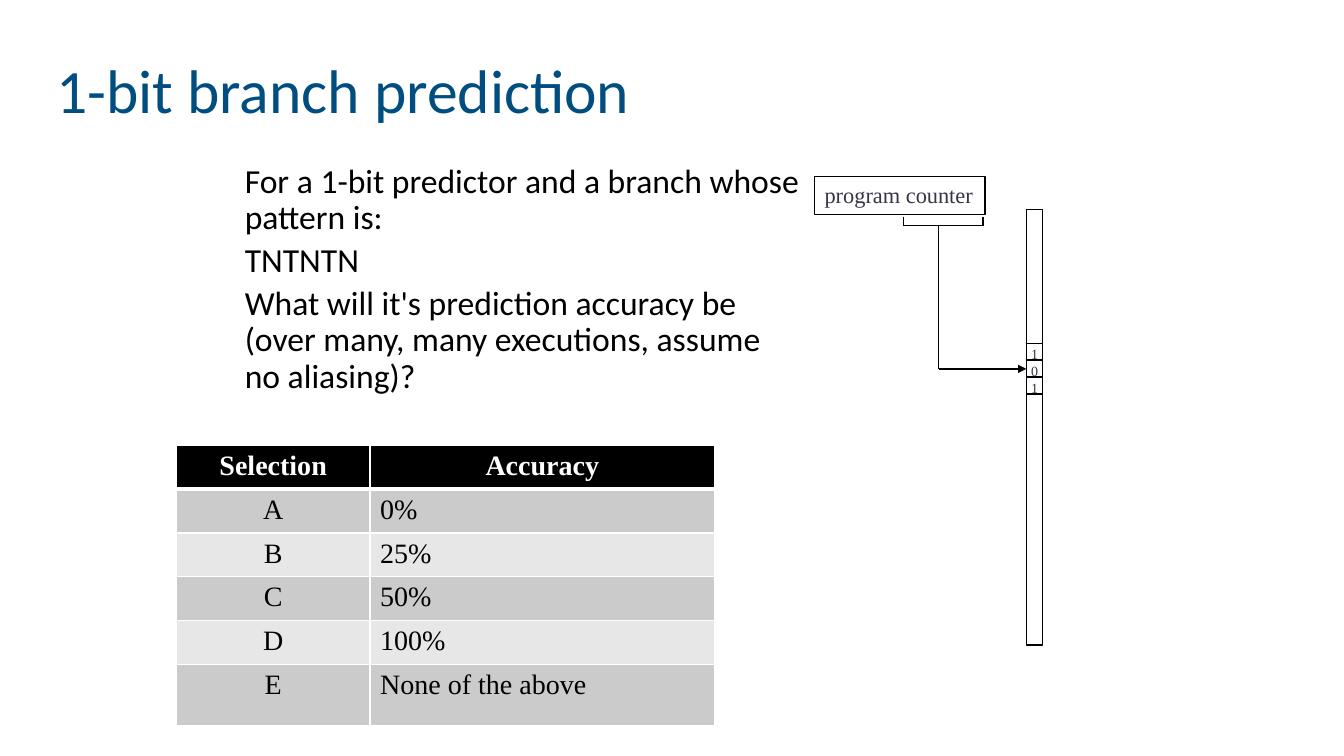
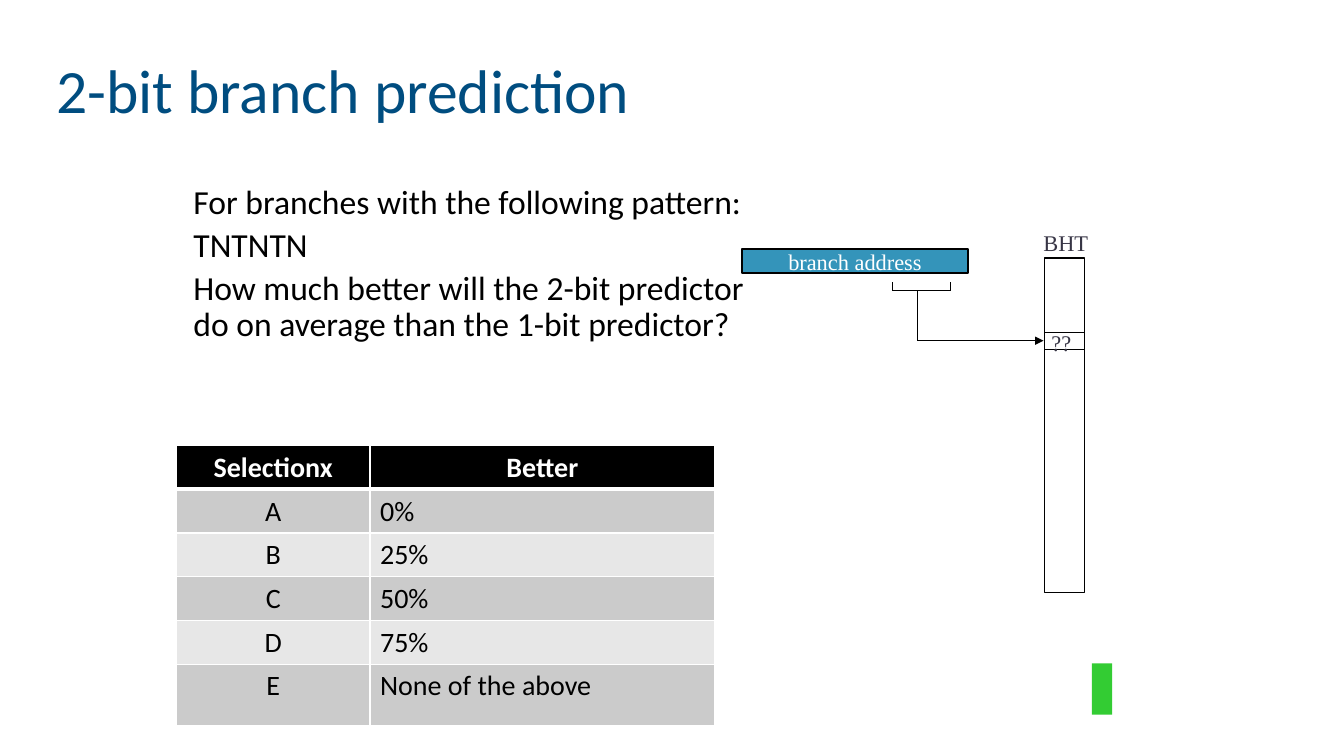
import itertools

import lxml.etree
import pptx
import pptx.dml.color
import pptx.enum.shapes
import pptx.enum.text
import pptx.oxml.ns
import pptx.util

SCALE = 9144
SANS, SERIF = "Calibri", "Times New Roman"
TITLE, INK, BLACK, WHITE = "004D80", "373545", "000000", "FFFFFF"
TEAL, GREEN, BANDS = "3494BA", "33CC33", ("CBCBCB", "E7E7E7")
LEFT, CENTER = pptx.enum.text.PP_ALIGN.LEFT, pptx.enum.text.PP_ALIGN.CENTER
TOP, MIDDLE = pptx.enum.text.MSO_ANCHOR.TOP, pptx.enum.text.MSO_ANCHOR.MIDDLE


def px(*lengths):
    """Turn px lengths into EMU."""
    return [pptx.util.Emu(n * SCALE) for n in lengths]


def rgb(color):
    """Return the colour for a hex string."""
    return pptx.dml.color.RGBColor.from_string(color)


def sub(parent, tag, **attrs):
    """Append a DrawingML element and return it."""
    return lxml.etree.SubElement(parent, pptx.oxml.ns.qn(tag), attrs)


def style(p, size, font, color, bold=False, align=LEFT):
    """Format a paragraph and its runs."""
    p.alignment = align
    for r in p.runs:
        r.font.size, r.font.name, r.font.bold = pptx.util.Pt(size), font, bold
        r.font.color.rgb = rgb(color)


def write(sp, text, size, font, color, wrap=True, align=LEFT, anchor=TOP):
    """Fill a shape with text, one paragraph per line."""
    tf = sp.text_frame
    tf.text, tf.word_wrap, tf.vertical_anchor = text, wrap, anchor
    for p in tf.paragraphs:
        style(p, size, font, color, align=align)
    return tf


def add_block(s, box, text, size, color, anchor=TOP):
    """Add wrapped text with tight lines and a gap before each paragraph."""
    sp = s.shapes.add_textbox(*px(*box))
    for p in write(sp, text, size, SANS, color, anchor=anchor).paragraphs:
        p.line_spacing = 0.9
        p.space_before = pptx.util.Pt(size * 0.2)


def add_label(s, box, text, size):
    """Add a small unwrapped label."""
    sp = s.shapes.add_textbox(*px(*box))
    tf = write(sp, text, size, SERIF, INK, wrap=False)
    tf.auto_size = pptx.enum.text.MSO_AUTO_SIZE.SHAPE_TO_FIT_TEXT


def add_rect(s, box, fill=None, outlined=True):
    """Add a plain rectangle."""
    sp = s.shapes.add_shape(pptx.enum.shapes.MSO_SHAPE.RECTANGLE, *px(*box))
    sp.shadow.inherit = False
    if fill:
        sp.fill.solid()
        sp.fill.fore_color.rgb = rgb(fill)
    else:
        sp.fill.background()
    if outlined:
        sp.line.color.rgb, sp.line.width = rgb(BLACK), pptx.util.Pt(1)
    else:
        sp.line.fill.background()
    return sp


def add_lines(s, points, arrow=False):
    """Join points with straight lines, with an optional final arrowhead."""
    for start, end in itertools.pairwise(points):
        line = s.shapes.add_connector(
            pptx.enum.shapes.MSO_CONNECTOR.STRAIGHT, *px(*start, *end))
        line.line.color.rgb, line.line.width = rgb(BLACK), pptx.util.Pt(1)
        if arrow and end == points[-1]:
            sub(line.line._get_or_add_ln(), "a:tailEnd", type="triangle")
        sub(line._element.spPr, "a:effectLst")


def add_lookup(s, left, right, top, bottom, stem, target):
    """Bracket the low address bits and lead an arrow to a table entry."""
    add_lines(s, [(left, top), (left, bottom), (right, bottom), (right, top)])
    add_lines(s, [(stem, bottom), (stem, target[1]), target], arrow=True)


def add_history(s, box, dividers):
    """Add the tall history table with its entry dividers."""
    add_rect(s, box)
    for y in dividers:
        add_lines(s, [(box[0], y), (box[0] + box[2], y)])


def format_cell(cell, fill, top, bottom):
    """Set the fill and the white borders of a cell."""
    cell.fill.solid()
    cell.fill.fore_color.rgb = rgb(fill)
    tcPr = cell._tc.get_or_add_tcPr()
    for i, (side, width) in enumerate(zip("LRTB", (1, 1, top, bottom))):
        ln = sub(tcPr, f"a:ln{side}", w=str(pptx.util.Pt(width)))
        sub(sub(ln, "a:solidFill"), "a:srgbClr", val=WHITE)
        tcPr.insert(i, ln)


def add_answers(s, heads, answers, font):
    """Add the lettered table of answers."""
    rows = [heads, *zip("ABCDE", answers)]
    frame = s.shapes.add_table(len(rows), 2, *px(175, 442, 534, 246))
    table = frame.table
    table.columns[0].width, table.columns[1].width = px(192, 342)
    for i, row in enumerate(rows):
        table.rows[i].height = px(61 if i == len(rows) - 1 else 37)[0]
        for j, text in enumerate(row):
            cell, head = table.cell(i, j), i == 0
            cell.text = text
            style(cell.text_frame.paragraphs[0], 20, font,
                  WHITE if head else BLACK, head,
                  CENTER if head or j == 0 else LEFT)
            format_cell(cell, BLACK if head else BANDS[(i - 1) % 2],
                        3 if i == 1 else 1, 3 if head else 1)


def add_slide(prs, title):
    """Add a blank slide with the shared title."""
    s = prs.slides.add_slide(prs.slide_layouts[6])
    add_block(s, (46, 20, 1263, 145), title, 44, TITLE, MIDDLE)
    return s


def one_bit(prs):
    """Build the 1-bit predictor question."""
    s = add_slide(prs, "1-bit branch prediction")
    add_history(s, (1018, 208, 16, 432), (341, 357, 374, 391))
    for i, bit in enumerate("101"):
        add_label(s, (1013, 338 + 17 * i, 27, 27), bit, 10)
    sp = add_rect(s, (808, 175, 169, 38))
    write(sp, "program counter", 16, SERIF, INK, wrap=False)
    add_lookup(s, 896, 975, 215, 224, 931, (1018, 366))
    add_answers(s, ("Selection", "Accuracy"),
                ("0%", "25%", "50%", "100%", "None of the above"), SERIF)
    add_block(s, (233, 158, 570, 217),
              "For a 1-bit predictor and a branch whose pattern is:\n"
              "TNTNTN\n"
              "What will it's prediction accuracy be (over many, many "
              "executions, assume no aliasing)?", 24, BLACK)


def two_bit(prs):
    """Build the 2-bit predictor question."""
    s = add_slide(prs, "2-bit branch prediction")
    add_rect(s, (1083, 658, 20, 51), GREEN, outlined=False)
    add_answers(s, ("Selectionx", "Better"),
                ("0%", "25%", "50%", "75%", "None of the above"), SANS)
    add_block(s, (182, 179, 570, 217),
              "For branches with the following pattern:\n"
              "TNTNTN\n"
              "How much better will the 2-bit predictor do on average "
              "than the 1-bit predictor?", 24, BLACK)
    sp = add_rect(s, (736, 247, 224, 24), TEAL)
    write(sp, "branch address", 16, SERIF, WHITE, False, CENTER, MIDDLE)
    add_lookup(s, 885, 943, 280, 288, 910, (1035, 338))
    add_history(s, (1036, 256, 40, 332), (330, 347))
    add_label(s, (1033, 322, 40, 37), "??", 16)
    add_label(s, (1025, 222, 65, 37), "BHT", 16)


def main():
    """Build and save the presentation."""
    prs = pptx.Presentation()
    prs.slide_width, prs.slide_height = px(1333, 750)
    one_bit(prs)
    two_bit(prs)
    prs.save("out.pptx")


if __name__ == "__main__":
    main()
